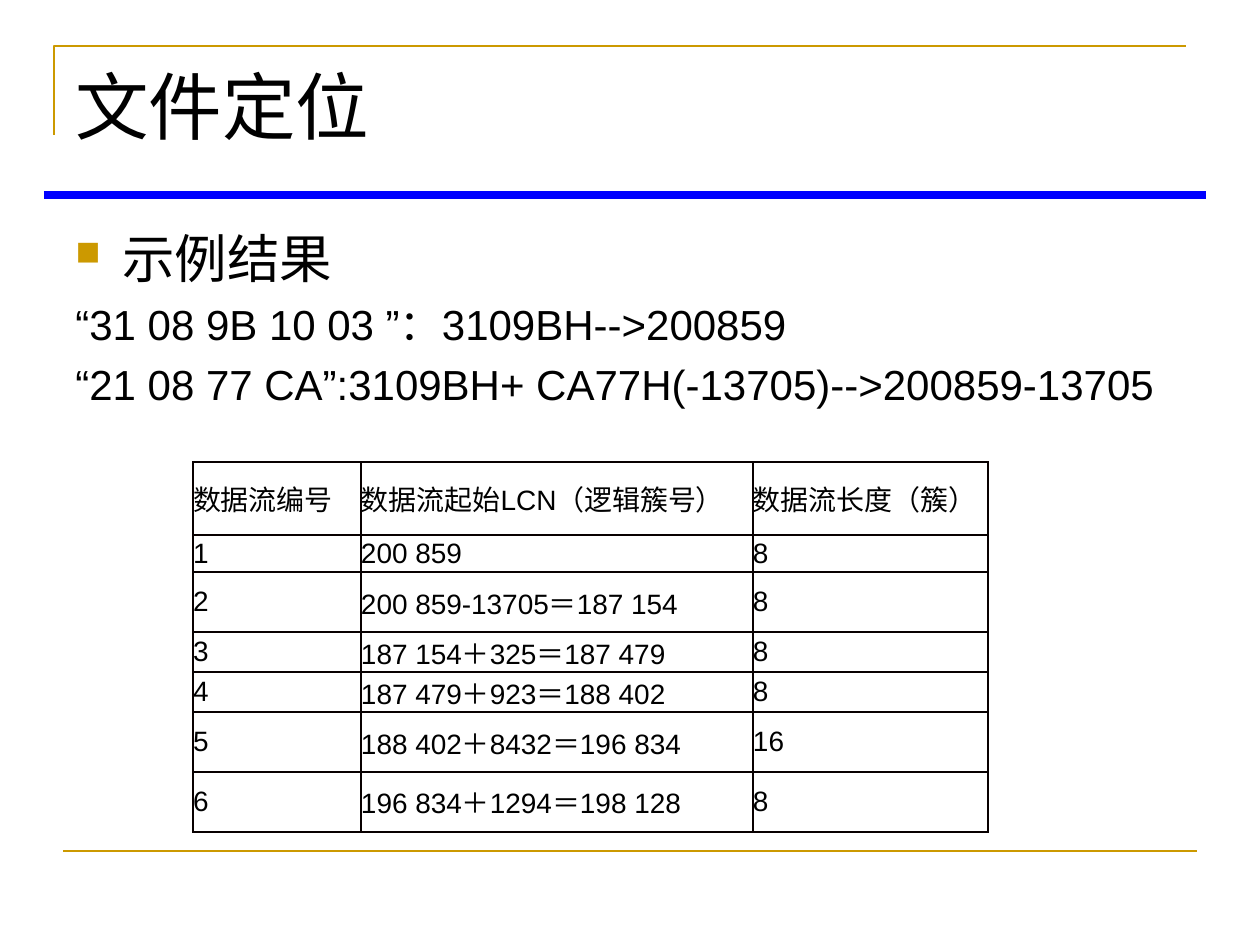
from lxml import etree
from pptx import Presentation, util as u
from pptx.dml.color import RGBColor
from pptx.enum import shapes, text
from pptx.oxml import ns

THEME = {
    "gold": "CC9900", "blue": "0000FF", "ink": "000000", "rule": "080000",
    "head": "Times New Roman", "body": "Arial",
    "title": 42, "lead": 30, "note": 24, "cell": 16,
}
SCALE = u.Inches(1) / 126


def px(n):
    return u.Emu(round(n * SCALE))


def style(para, size, face):
    para.alignment = text.PP_ALIGN.LEFT
    for run in para.runs:
        run.font.size = u.Pt(THEME[size])
        run.font.name = THEME[face]
        run.font.color.rgb = RGBColor.from_string(THEME["ink"])


deck = Presentation()
deck.slide_width, deck.slide_height = px(1260), px(945)
slide = deck.slides.add_slide(deck.slide_layouts[6])

pen = slide.shapes.build_freeform(54, 135, scale=SCALE)
pen.add_line_segments([(54, 46), (1186, 46)], close=False)
frame = pen.convert_to_shape()
frame.shadow.inherit = False
frame.fill.background()
frame.line.color.rgb = RGBColor.from_string(THEME["gold"])
frame.line.width = u.Pt(1.5)

for left, right, y, hue, width in [
    (63, 1197, 851, "gold", 1.5),
    (44, 1206, 195, "blue", 4.75),
]:
    rule = slide.shapes.add_connector(
        shapes.MSO_CONNECTOR.STRAIGHT, px(left), px(y), px(right), px(y))
    rule.line.color.rgb = RGBColor.from_string(THEME[hue])
    rule.line.width = u.Pt(width)
    etree.SubElement(rule._element.spPr, ns.qn("a:effectLst"))

title = slide.shapes.add_textbox(px(63), px(55), px(1134), px(110)).text_frame
title.word_wrap = True
title.text = "文件定位"
style(title.paragraphs[0], "title", "head")

body = slide.shapes.add_textbox(px(63), px(220), px(1134), px(624)).text_frame
body.word_wrap = True
body.text = "\n".join([
    "示例结果",
    "“31 08 9B 10 03 ”：3109BH-->200859",
    "“21 08 77 CA”:3109BH+ CA77H(-13705)-->200859-13705",
])
lead, *notes = body.paragraphs
props = lead._p.get_or_add_pPr()
props.set("marL", str(px(47)))
props.set("indent", str(-px(47)))
color = etree.SubElement(props, ns.qn("a:buClr"))
etree.SubElement(color, ns.qn("a:srgbClr"), val=THEME["gold"])
etree.SubElement(props, ns.qn("a:buSzPct"), val="65000")
etree.SubElement(props, ns.qn("a:buChar"), char="■")
style(lead, "lead", "body")
for note in notes:
    note.space_before = u.Pt(5.5)
    style(note, "note", "body")

rows = [
    ("数据流编号", "数据流起始LCN（逻辑簇号）", "数据流长度（簇）"),
    ("1", "200 859", "8"),
    ("2", "200 859-13705＝187 154", "8"),
    ("3", "187 154＋325＝187 479", "8"),
    ("4", "187 479＋923＝188 402", "8"),
    ("5", "188 402＋8432＝196 834", "16"),
    ("6", "196 834＋1294＝198 128", "8"),
]
wide = [168, 392, 235]
high = [73, 37, 60, 40, 40, 60, 60]
grid = slide.shapes.add_table(
    len(rows), len(wide), px(193), px(462), px(sum(wide)), px(sum(high))).table
grid.first_row = grid.horz_banding = False
for col, size in zip(grid.columns, wide):
    col.width = px(size)
for row, size, words in zip(grid.rows, high, rows):
    row.height = px(size)
    for cell, word in zip(row.cells, words):
        cell.text = word
        cell.vertical_anchor = text.MSO_ANCHOR.MIDDLE
        cell.margin_left = cell.margin_right = 0
        cell.margin_top = cell.margin_bottom = 0
        style(cell.text_frame.paragraphs[0], "cell", "body")
        for side in "LRTB":
            edge = etree.SubElement(
                cell._tc.get_or_add_tcPr(), ns.qn("a:ln" + side), w=str(u.Pt(1)))
            fill = etree.SubElement(edge, ns.qn("a:solidFill"))
            etree.SubElement(fill, ns.qn("a:srgbClr"), val=THEME["rule"])
        cell.fill.background()

deck.save("out.pptx")
